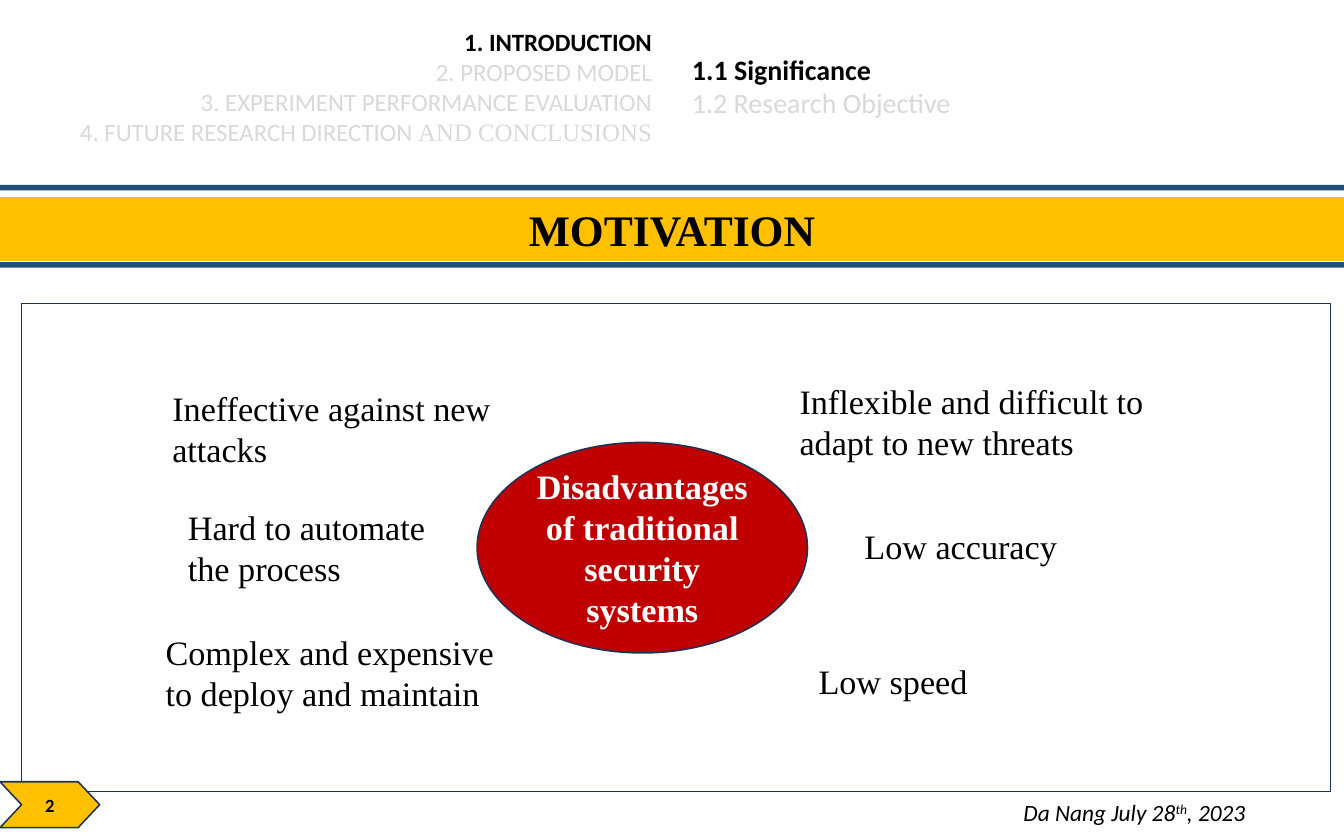
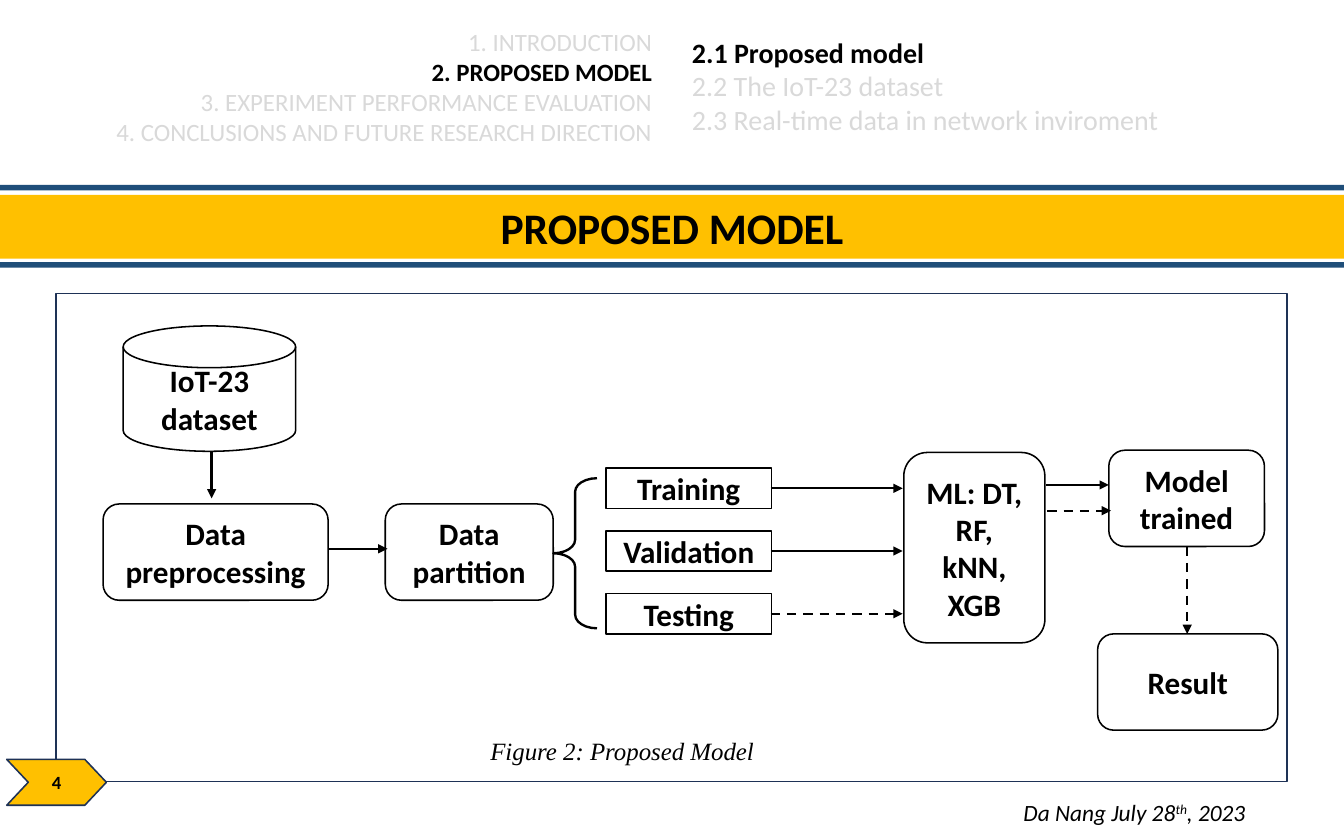
from dataclasses import dataclass

import pptx
import pptx.dml.color
import pptx.enum.dml
import pptx.enum.shapes
import pptx.enum.text
import pptx.oxml
import pptx.oxml.ns
import pptx.util

Inches = pptx.util.Inches
KIND = pptx.enum.shapes.MSO_SHAPE
ALIGN = pptx.enum.text.PP_ALIGN


@dataclass(frozen=True)
class Theme:
    sans: str = "Calibri"
    serif: str = "Times New Roman"
    black: str = "000000"
    white: str = "FFFFFF"
    gray: str = "D9D9D9"
    navy: str = "1F4E79"
    edge: str = "1E3256"
    gold: str = "FFC000"
    red: str = "C00000"
    title: int = 28
    cause: int = 22
    node: int = 20
    topic: int = 18
    chapter: int = 16
    date: int = 15
    page: int = 12
    thin: float = 1
    thick: float = 1.5


@dataclass(frozen=True)
class Box:
    left: float
    top: float
    width: float
    height: float

    def inner(self, left, top, width, height):
        """Turn an offset inside this box into a box on the slide."""
        return Box(self.left + left, self.top + top, width, height)

    def lengths(self):
        return [Inches(v) for v in (self.left, self.top, self.width, self.height)]


THEME = Theme()
PAGE = Box(0, 0, 12, 7.5)


def color(code):
    return pptx.dml.color.RGBColor.from_string(code)


def style(para, size, font=THEME.sans, ink=THEME.black, bold=False,
          italic=False, align=ALIGN.CENTER):
    para.alignment = align
    para.font.size = pptx.util.Pt(size)
    para.font.name = font
    para.font.color.rgb = color(ink)
    para.font.bold = bold
    para.font.italic = italic


def fill_text(frame, lines, size, **look):
    frame.word_wrap = True
    for i, line in enumerate(lines):
        para = frame.add_paragraph() if i else frame.paragraphs[0]
        para.add_run().text = line
        style(para, size, **look)


def add_shape(slide, kind, box, fill=None, edge=None, width=THEME.thin):
    shape = slide.shapes.add_shape(kind, *box.lengths())
    shape.shadow.inherit = False
    if fill:
        shape.fill.solid()
        shape.fill.fore_color.rgb = color(fill)
    else:
        shape.fill.background()
    if edge:
        shape.line.color.rgb = color(edge)
        shape.line.width = pptx.util.Pt(width)
    else:
        shape.line.fill.background()
    shape.text_frame.vertical_anchor = pptx.enum.text.MSO_ANCHOR.MIDDLE
    return shape


def add_label(slide, box, text, size, **look):
    label = slide.shapes.add_textbox(*box.lengths())
    frame = label.text_frame
    fill_text(frame, [text], size, **look)
    frame.auto_size = pptx.enum.text.MSO_AUTO_SIZE.SHAPE_TO_FIT_TEXT
    return frame.paragraphs[0]


def add_arrow(slide, box, start, end, dashed=False):
    """Draw an arrow between two points given as offsets in the box."""
    ends = [Inches(v) for x, y in (start, end)
            for v in (box.left + x, box.top + y)]
    arrow = slide.shapes.add_connector(
        pptx.enum.shapes.MSO_CONNECTOR.STRAIGHT, *ends)
    arrow.line.color.rgb = color(THEME.black)
    arrow.line.width = pptx.util.Pt(THEME.thick)
    if dashed:
        arrow.line.dash_style = pptx.enum.dml.MSO_LINE.DASH
    props = arrow._element.spPr
    head = pptx.oxml.ns.qn("a:tailEnd")
    line = props.find(pptx.oxml.ns.qn("a:ln"))
    line.append(line.makeelement(head, {"type": "triangle"}))
    props.append(props.makeelement(pptx.oxml.ns.qn("a:effectLst"), {}))


def add_list(slide, box, lines, active, size, align):
    """List the lines in gray, with the active one in bold black."""
    frame = add_shape(slide, KIND.RECTANGLE, box, THEME.white).text_frame
    fill_text(frame, lines, size, ink=THEME.gray, align=align)
    style(frame.paragraphs[active], size, bold=True, align=align)
    return frame.paragraphs


def add_header(slide, box, chapters, active, topics):
    width, height = 5.92, 1.55
    paras = add_list(slide, box.inner(0, 0, width, height), chapters, active,
                     THEME.chapter, ALIGN.RIGHT)
    add_list(slide, box.inner(box.width - width, -0.01, width, height),
             topics, 0, THEME.topic, ALIGN.LEFT)
    return paras


def add_band(slide, box, title, font, drop):
    """Draw the title band between two rules, drop inches below the top."""
    rule = 0.05
    for top in (0, box.height - rule):
        add_shape(slide, KIND.RECTANGLE,
                  box.inner(0, top, box.width, rule), THEME.navy)
    band = add_shape(slide, KIND.RECTANGLE,
                     box.inner(0, drop, box.width, 0.57), THEME.gold)
    fill_text(band.text_frame, [title], THEME.title, font=font, bold=True)


def add_date(slide, box):
    para = add_label(slide, box, "Da Nang July 28", THEME.date, italic=True,
                     align=ALIGN.LEFT)
    power = para.add_run()
    power.text = "th"
    power._r.get_or_add_rPr().set("baseline", "30000")
    para.add_run().text = ", 2023"


def add_badge(slide, box, number):
    badge = add_shape(slide, KIND.CHEVRON, box, THEME.gold, THEME.edge)
    badge.adjustments[0] = 0.47
    fill_text(badge.text_frame, [number], THEME.page, bold=True)


def add_causes(slide, box):
    hub = add_shape(slide, KIND.OVAL, box.inner(4.07, 1.24, 2.95, 1.88),
                    THEME.red, THEME.edge)
    fill_text(hub.text_frame, ["Disadvantages of traditional security systems"],
              THEME.cause, font=THEME.serif, ink=THEME.white, bold=True)
    causes = [
        ("Ineffective against new attacks", 1.25, 0.7, 3.31, 0.84),
        ("Hard to automate the process", 1.39, 1.76, 2.63, 0.84),
        ("Complex and expensive to deploy and maintain", 1.19, 2.88, 3.38, 0.84),
        ("Inflexible and difficult to adapt to new threats", 6.85, 0.64, 3.92, 0.84),
        ("Low accuracy", 7.43, 1.93, 2.83, 0.47),
        ("Low speed", 7.02, 3.14, 1.79, 0.47),
    ]
    for text, *place in causes:
        add_label(slide, box.inner(*place), text, THEME.cause,
                  font=THEME.serif, align=ALIGN.LEFT)


def add_node(slide, kind, box, lines):
    node = add_shape(slide, kind, box, THEME.white, THEME.black)
    fill_text(node.text_frame, lines, THEME.node, bold=True)


def add_flow(slide, box):
    add_node(slide, KIND.FLOWCHART_MAGNETIC_DISK,
             box.inner(0.6, 0.29, 1.54, 1.12), ["IoT-23", "dataset"])
    steps = [
        (["Data", "preprocessing"], 0.42, 1.88, 2.01, 0.86),
        (["Data partition"], 2.94, 1.88, 1.5, 0.86),
        (["ML: DT, RF, kNN, XGB"], 7.57, 1.42, 1.26, 1.7),
        (["Model trained"], 9.4, 1.4, 1.39, 0.86),
        (["Result"], 9.3, 3.04, 1.61, 0.86),
    ]
    for lines, *place in steps:
        add_node(slide, KIND.ROUNDED_RECTANGLE, box.inner(*place), lines)

    brace = add_shape(slide, KIND.LEFT_BRACE, box.inner(4.44, 1.65, 0.39, 1.34),
                      edge=THEME.black, width=THEME.thick)
    brace.adjustments[0] = 0.31
    for i, name in enumerate(["Training", "Validation", "Testing"]):
        top = 1.56 + 0.56 * i
        add_node(slide, KIND.RECTANGLE, box.inner(4.91, top, 1.48, 0.36), [name])
        mid = top + 0.18
        add_arrow(slide, box, (6.38, mid), (7.56, mid), name == "Testing")

    arrows = [
        ((1.39, 1.42), (1.39, 1.83), False),
        ((2.44, 2.28), (2.96, 2.28), False),
        ((8.84, 1.71), (9.4, 1.71), False),
        ((8.85, 1.94), (9.42, 1.94), True),
        ((10.1, 2.26), (10.1, 3.04), True),
    ]
    for start, end, dashed in arrows:
        add_arrow(slide, box, start, end, dashed)
    add_label(slide, box.inner(3.78, 3.9, 3.28, 0.37), "Figure 2: Proposed Model",
              THEME.chapter, font=THEME.serif, italic=True, align=ALIGN.LEFT)


def add_page(deck, title, font, drop, frame, badge, number):
    """Start a slide with its band, date, content frame and page badge."""
    slide = deck.slides.add_slide(deck.slide_layouts[6])
    add_band(slide, PAGE.inner(0, 1.65, PAGE.width, 0.74), title, font, drop)
    add_date(slide, PAGE.inner(9.04, 7.08, 2.33, 0.35))
    add_shape(slide, KIND.RECTANGLE, frame, edge=THEME.edge)
    add_badge(slide, badge, number)
    return slide


def main():
    deck = pptx.Presentation()
    deck.slide_width = Inches(PAGE.width)
    deck.slide_height = Inches(PAGE.height)
    chapters = ["1. INTRODUCTION", "2. PROPOSED MODEL",
                "3. EXPERIMENT PERFORMANCE EVALUATION"]

    frame = Box(0.19, 2.71, 11.69, 4.36)
    slide = add_page(deck, "MOTIVATION", THEME.serif, 0.11, frame,
                     Box(0, 6.98, 0.89, 0.41), "2")
    paras = add_header(slide, PAGE,
                       chapters + ["4. FUTURE RESEARCH DIRECTION "], 0,
                       ["1.1 Significance", "1.2 Research Objective"])
    tail = paras[-1].add_run()
    tail.text = "AND CONCLUSIONS"
    tail.font.name = THEME.serif
    add_causes(slide, frame)

    frame = Box(0.5, 2.62, 10.99, 4.36)
    slide = add_page(deck, "PROPOSED MODEL", THEME.sans, 0.09, frame,
                     Box(0.06, 6.78, 0.89, 0.41), "4")
    add_header(slide, PAGE,
               chapters + ["4. CONCLUSIONS AND FUTURE RESEARCH DIRECTION"], 1,
               ["2.1 Proposed model", "2.2 The IoT-23 dataset",
                "2.3 Real-time data in network inviroment"])
    add_flow(slide, frame)

    deck.save("out.pptx")


if __name__ == "__main__":
    main()
